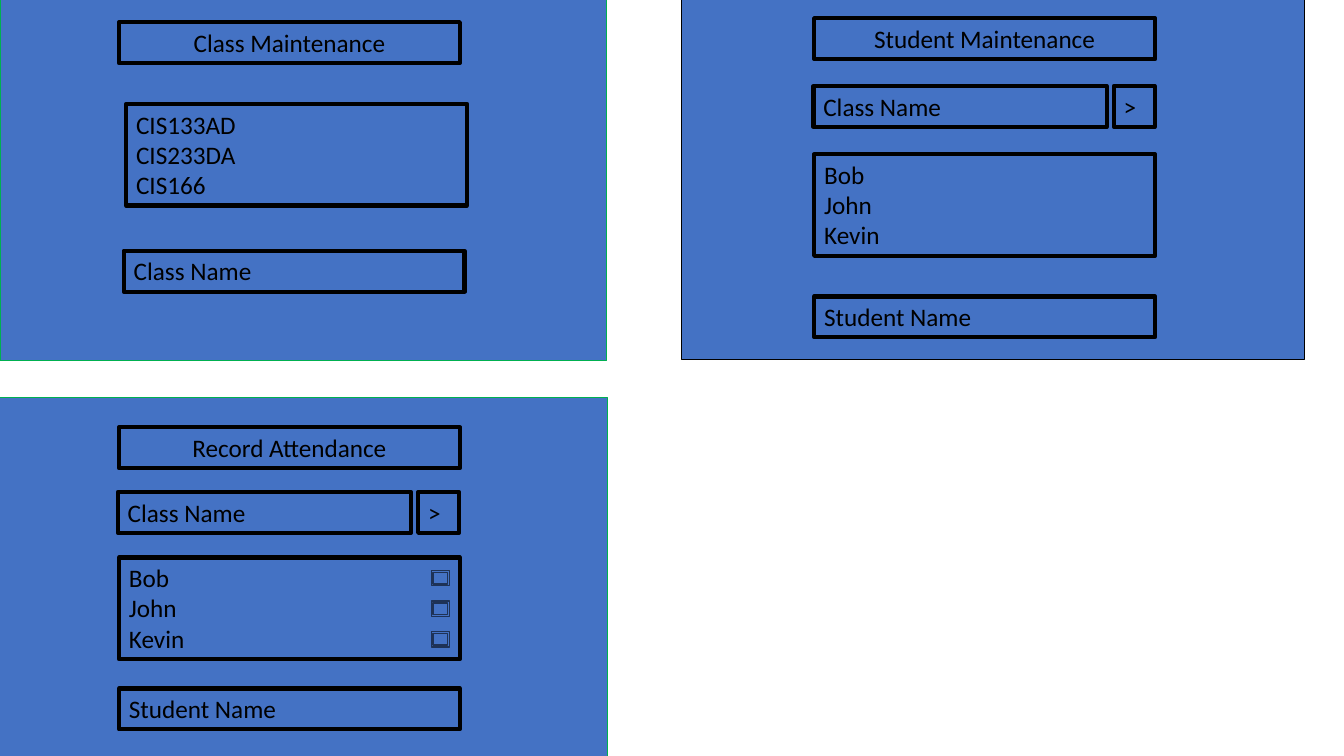
from pptx import Presentation
from pptx.dml.color import RGBColor
from pptx.enum.shapes import MSO_SHAPE as SHAPE
from pptx.enum.text import MSO_AUTO_SIZE as AUTO, PP_ALIGN as ALIGN
from pptx.util import Cm, Pt

BLUE = RGBColor(0x44, 0x72, 0xC4)
NAVY = RGBColor(0x1E, 0x32, 0x56)
GREEN = RGBColor(0x00, 0xB0, 0x50)
BLACK = RGBColor(0, 0, 0)

CLASSES = ["CIS133AD", "CIS233DA", "CIS166"]
STUDENTS = ["Bob", "John", "Kevin"]

SCREENS = [
    {"panel": (0, -0.05, 15.29), "line": GREEN,
     "title": ("Class Maintenance", 3, 0.56),
     "list": (CLASSES, 3.18, 2.62),
     "entry": ("Class Name", 3.12, 6.32)},
    {"panel": (17.17, -0.08, 15.7), "line": BLACK,
     "title": ("Student Maintenance", 20.52, 0.46),
     "picker": ("Class Name", 20.5, 2.17),
     "list": (STUDENTS, 20.52, 3.89),
     "entry": ("Student Name", 20.52, 7.47)},
    {"panel": (-0.08, 10.01, 15.39), "line": GREEN,
     "title": ("Record Attendance", 3, 10.77),
     "picker": ("Class Name", 2.97, 12.4),
     "list": (STUDENTS, 3, 14.05),
     "entry": ("Student Name", 3, 17.35),
     "checks": True},
]

PANEL_H = 9.14
FIELD_W, FIELD_H, LIST_H = 8.59, 1.03, 2.56
PICKER_W, ARROW_STEP, ARROW_W = 7.39, 7.57, 1.03
CHECK_DX, CHECK_DY, CHECK_STEP = 7.87, 0.33, 0.77
CHECK_W, CHECK_H = 0.46, 0.38

prs = Presentation()
prs.slide_width, prs.slide_height = Cm(33.87), Cm(19.05)
s = prs.slides.add_slide(prs.slide_layouts[6])


def add_filled(kind, x, y, w, h, line):
    sp = s.shapes.add_shape(kind, Cm(x), Cm(y), Cm(w), Cm(h))
    sp.shadow.inherit = False
    sp.fill.solid()
    sp.fill.fore_color.rgb = BLUE
    sp.line.color.rgb = line
    sp.line.width = Pt(1)


def add_field(lines, x, y, w=FIELD_W, h=FIELD_H, align=ALIGN.LEFT):
    sp = s.shapes.add_textbox(Cm(x), Cm(y), Cm(w), Cm(h))
    sp.line.color.rgb = BLACK
    sp.line.width = Pt(3)
    tf = sp.text_frame
    tf.word_wrap = True
    tf.auto_size = AUTO.SHAPE_TO_FIT_TEXT
    tf.text = "\n".join(lines)
    for p in tf.paragraphs:
        p.alignment = align
        p.font.name = "Calibri"
        p.font.size = Pt(18)
        p.font.color.rgb = BLACK


for screen in SCREENS:
    x, y, w = screen["panel"]
    add_filled(SHAPE.RECTANGLE, x, y, w, PANEL_H, screen["line"])

    title, x, y = screen["title"]
    add_field([title], x, y, align=ALIGN.CENTER)

    if "picker" in screen:
        label, x, y = screen["picker"]
        add_field([label], x, y, PICKER_W)
        add_field([">"], x + ARROW_STEP, y, ARROW_W)

    label, x, y = screen["entry"]
    add_field([label], x, y)

    names, x, y = screen["list"]
    add_field(names, x, y, h=LIST_H)
    if screen.get("checks"):
        for i in range(len(names)):
            add_filled(SHAPE.FRAME, x + CHECK_DX, y + CHECK_DY + i * CHECK_STEP,
                       CHECK_W, CHECK_H, NAVY)

prs.save("out.pptx")
